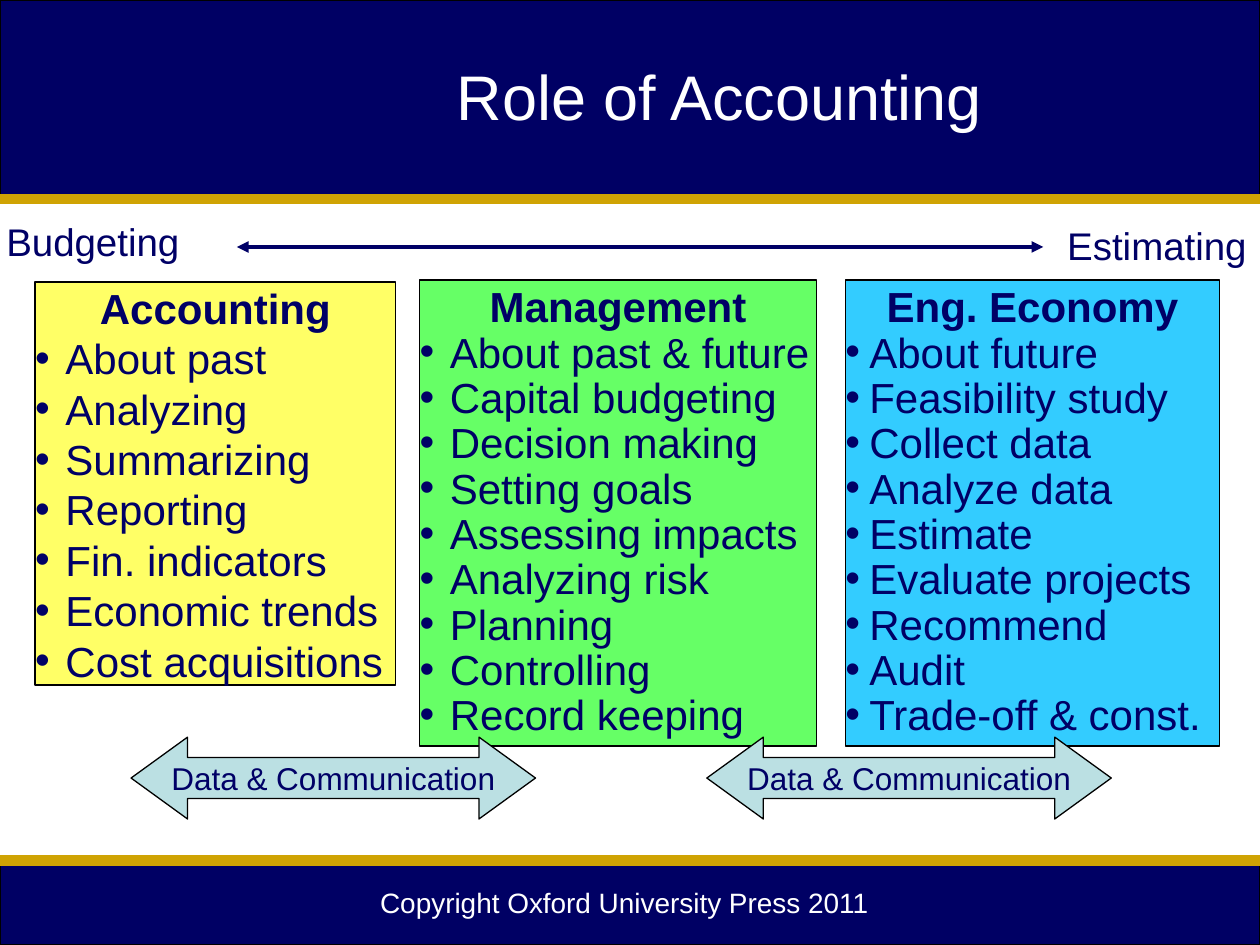
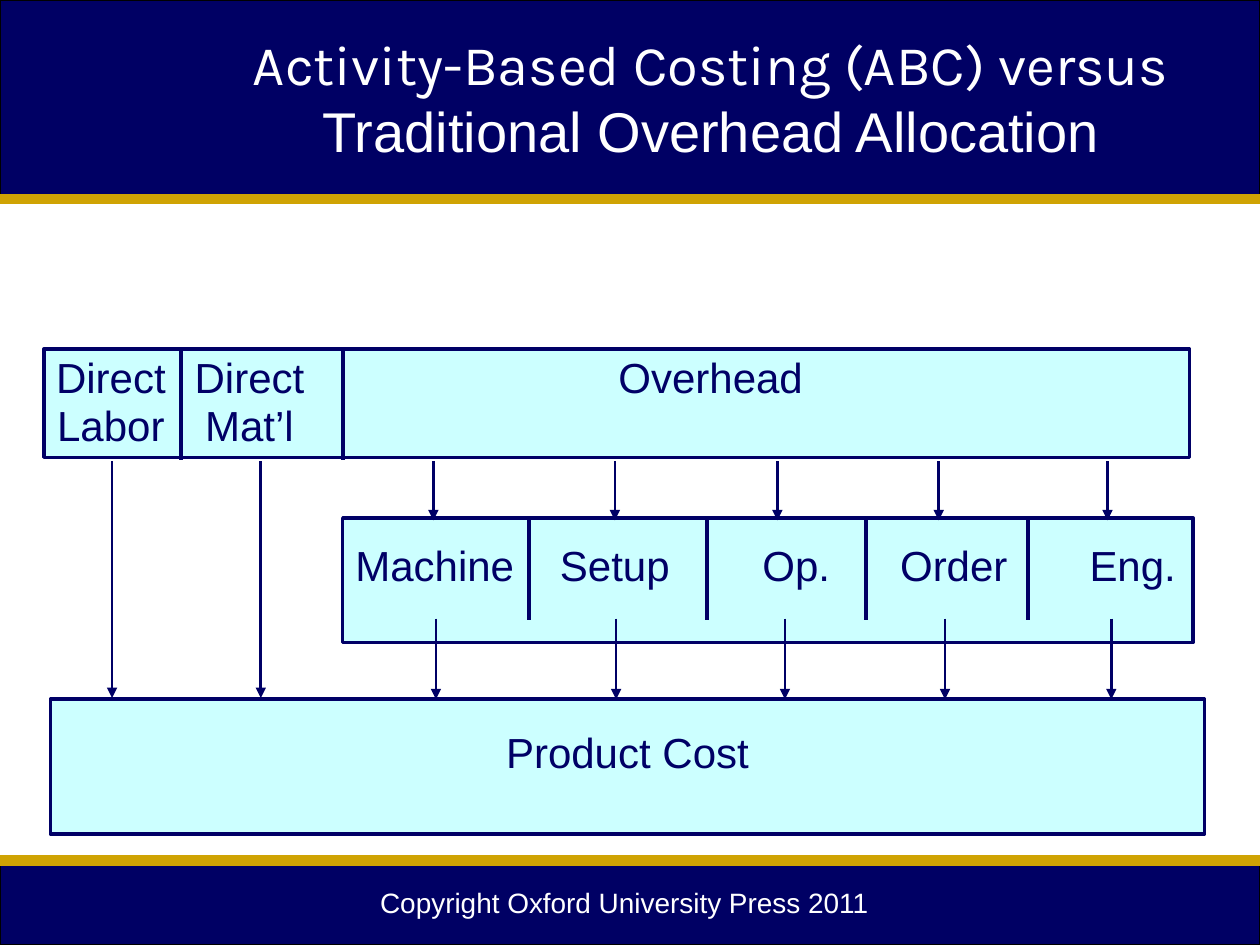
from dataclasses import dataclass

from pptx import Presentation
from pptx.dml.color import RGBColor
from pptx.enum.shapes import MSO_CONNECTOR as CONN, MSO_SHAPE as SHAPE
from pptx.enum.text import MSO_ANCHOR as ANCHOR, PP_ALIGN as ALIGN
from pptx.oxml.ns import qn
from pptx.util import Inches, Pt
from lxml.etree import SubElement

COLORS = {
    "band": "000064", "gold": "CFA303", "ink": "000066", "white": "FFFFFF",
    "black": "000000", "yellow": "FFFF66", "green": "66FF66",
    "blue": "33CCFF", "arrow": "BBE0E3", "cost": "CCFFFF",
}
LINE_HEIGHT = 1.2  # line pitch as a multiple of the text size


@dataclass
class Box:
    left: float
    top: float
    width: float
    height: float

    def lengths(self) -> tuple:
        return tuple(Inches(v) for v in (self.left, self.top, self.width, self.height))


@dataclass
class Title:
    text: str
    font: str = "Arial"


@dataclass
class Role:
    heading: str
    duties: list[str]
    box: Box
    fill: str
    indent: float = 0.24
    spacing: float = 0.9
    inset: float = 0.05


@dataclass
class Label:
    lines: list[str]
    center: float
    top: float
    width: float = 1.5
    spacing: float = 1.0


@dataclass
class LineRow:
    """Vertical lines that share their top and bottom."""
    top: float
    bottom: float
    xs: list[float]
    arrow: bool = True


def rgb(name: str) -> RGBColor:
    return RGBColor.from_string(COLORS[name])


def write_text(tf, lines, size=24, color="ink", font="Arial", bold=False,
               align=ALIGN.CENTER, spacing=1.0, indent=0.0) -> None:
    """Append one paragraph per line; an indent makes them bulleted."""
    for line in lines:
        p = tf.paragraphs[-1]
        if p.runs:
            p = tf.add_paragraph()
        p.alignment = align
        p.line_spacing = Pt(round(size * LINE_HEIGHT * spacing, 1))
        if indent:
            pPr = p._p.get_or_add_pPr()
            pPr.set("marL", str(Inches(indent)))
            pPr.set("indent", str(-Inches(indent)))
            SubElement(pPr, qn("a:buFont"), typeface="Arial")
            SubElement(pPr, qn("a:buChar"), char="•")
        r = p.add_run()
        r.text = line
        r.font.size, r.font.name, r.font.bold = Pt(size), font, bold
        r.font.color.rgb = rgb(color)


def set_frame(tf, side=0.1, top=0.05, anchor=ANCHOR.TOP, wrap=True):
    tf.margin_left = tf.margin_right = Inches(side)
    tf.margin_top = tf.margin_bottom = Inches(top)
    tf.vertical_anchor = anchor
    tf.word_wrap = wrap
    return tf


def add_text_frame(slide, box: Box, **frame):
    return set_frame(slide.shapes.add_textbox(*box.lengths()).text_frame, **frame)


def add_block(slide, box: Box, fill: str, line="black", width=0.75, kind=SHAPE.RECTANGLE):
    sp = slide.shapes.add_shape(kind, *box.lengths())
    sp.shadow.inherit = False
    sp.fill.solid()
    sp.fill.fore_color.rgb = rgb(fill)
    sp.line.color.rgb = rgb(line)
    sp.line.width = Pt(width)
    return sp


def add_line(slide, x1, y1, x2, y2, width=2.25, color="ink", ends=()) -> None:
    cx = slide.shapes.add_connector(CONN.STRAIGHT, *(Inches(v) for v in (x1, y1, x2, y2)))
    cx.line.color.rgb = rgb(color)
    cx.line.width = Pt(width)
    for end in ends:
        SubElement(cx.line._get_or_add_ln(), qn(f"a:{end}"), type="triangle")
    SubElement(cx._element.spPr, qn("a:effectLst"))


def add_slide(prs, titles: list[Title], title_box: Box, title_size: int):
    """Add a slide with the shared bands, footer and title."""
    slide = prs.slides.add_slide(prs.slide_layouts[6])
    add_block(slide, Box(0, 6.83, 10, 0.67), "band")
    add_block(slide, Box(0, 0, 10, 1.58), "band", kind=SHAPE.FLOWCHART_PROCESS)
    for y in (1.58, 6.83):
        add_line(slide, 0, y, 10, y, width=6, color="gold")
    footer = add_text_frame(slide, Box(2.33, 6.98, 5.25, 0.52))
    write_text(footer, ["Copyright Oxford University Press 2011"], size=16, color="white")
    tf = add_text_frame(slide, title_box, anchor=ANCHOR.MIDDLE)
    for title in titles:
        write_text(tf, [title.text], size=title_size, color="white", font=title.font)
    return slide


def add_role(slide, role: Role) -> None:
    sp = add_block(slide, role.box, role.fill, width=1)
    tf = set_frame(sp.text_frame, side=0, top=role.inset)
    write_text(tf, [role.heading], bold=True, spacing=role.spacing)
    write_text(tf, role.duties, align=ALIGN.LEFT, spacing=role.spacing, indent=role.indent)


def build_accounting_role(prs) -> None:
    slide = add_slide(prs, [Title("Role of Accounting")], Box(1.67, 0.25, 8.08, 1.01), 36)
    roles = [
        Role("Accounting",
             ["About past", "Analyzing", "Summarizing", "Reporting", "Fin. indicators",
              "Economic trends", "Cost acquisitions"],
             Box(0.28, 2.24, 2.86, 3.2), "yellow", spacing=1.0, inset=0),
        Role("Management",
             ["About past & future", "Capital budgeting", "Decision making",
              "Setting goals", "Assessing impacts", "Analyzing risk", "Planning",
              "Controlling", "Record keeping"],
             Box(3.33, 2.22, 3.15, 3.7), "green"),
        Role("Eng. Economy",
             ["About future", "Feasibility study", "Collect data", "Analyze data",
              "Estimate", "Evaluate projects", "Recommend", "Audit", "Trade-off & const."],
             Box(6.71, 2.22, 2.97, 3.7), "blue", indent=0.19),
    ]
    for role in roles:
        add_role(slide, role)
    for left in (1.04, 5.61):
        sp = add_block(slide, Box(left, 5.85, 3.21, 0.65), "arrow", kind=SHAPE.LEFT_RIGHT_ARROW)
        sp.adjustments[0], sp.adjustments[1] = 0.5, 0.69
        tf = set_frame(sp.text_frame, anchor=ANCHOR.MIDDLE, wrap=False)
        write_text(tf, ["Data & Communication"], size=18)
    for text, box in (("Budgeting", Box(0, 1.68, 1.58, 0.47)),
                      ("Estimating", Box(8.42, 1.71, 1.58, 0.47))):
        write_text(add_text_frame(slide, box, side=0.05), [text], size=22, align=ALIGN.LEFT)
    add_line(slide, 1.88, 1.96, 8.28, 1.96, ends=("headEnd", "tailEnd"))


def build_cost_allocation(prs) -> None:
    titles = [Title("Activity-Based Costing (ABC) versus", "Karla"),
              Title("Traditional Overhead Allocation")]
    slide = add_slide(prs, titles, Box(1.52, 0.28, 8.25, 0.97), 32)
    cost_boxes = [Box(0.35, 2.77, 9.09, 0.86), Box(2.72, 4.11, 6.75, 0.99),
                  Box(0.4, 5.55, 9.16, 1.07)]
    for box in cost_boxes:
        sp = add_block(slide, box, "cost", line="ink", width=2)
    write_text(set_frame(sp.text_frame, top=0.22), ["Product Cost"])

    labels = [
        Label(["Direct", "Labor"], 0.88, 2.76, spacing=0.95),
        Label(["Direct", "Mat’l"], 1.98, 2.76, spacing=0.95),
        Label(["Overhead"], 5.64, 2.76, width=2, spacing=0.95),
    ]
    activities = {"Machine": 3.45, "Setup": 4.88, "Op.": 6.32, "Order": 7.57, "Eng.": 8.99}
    labels += [Label([name], center, 4.23) for name, center in activities.items()]
    for label in labels:
        height = 0.1 + 0.4 * len(label.lines)
        box = Box(label.center - label.width / 2, label.top, label.width, height)
        write_text(add_text_frame(slide, box), label.lines, spacing=label.spacing)

    rows = [
        LineRow(2.77, 3.65, [1.44, 2.72], arrow=False),
        LineRow(4.13, 4.92, [4.2, 5.61, 6.87, 8.16], arrow=False),
        LineRow(3.66, 5.54, [0.89, 2.07]),
        LineRow(3.66, 4.13, [3.44, 4.88, 6.17, 7.45, 8.79]),
        LineRow(4.91, 5.55, [3.46, 4.89, 6.23, 7.5, 8.82]),
    ]
    for row in rows:
        for x in row.xs:
            add_line(slide, x, row.top, x, row.bottom, width=1.5 if row.arrow else 2.25,
                     ends=("tailEnd",) if row.arrow else ())


def main() -> None:
    prs = Presentation()
    prs.slide_width, prs.slide_height = Inches(10), Inches(7.5)
    build_accounting_role(prs)
    build_cost_allocation(prs)
    prs.save("out.pptx")


if __name__ == "__main__":
    main()
